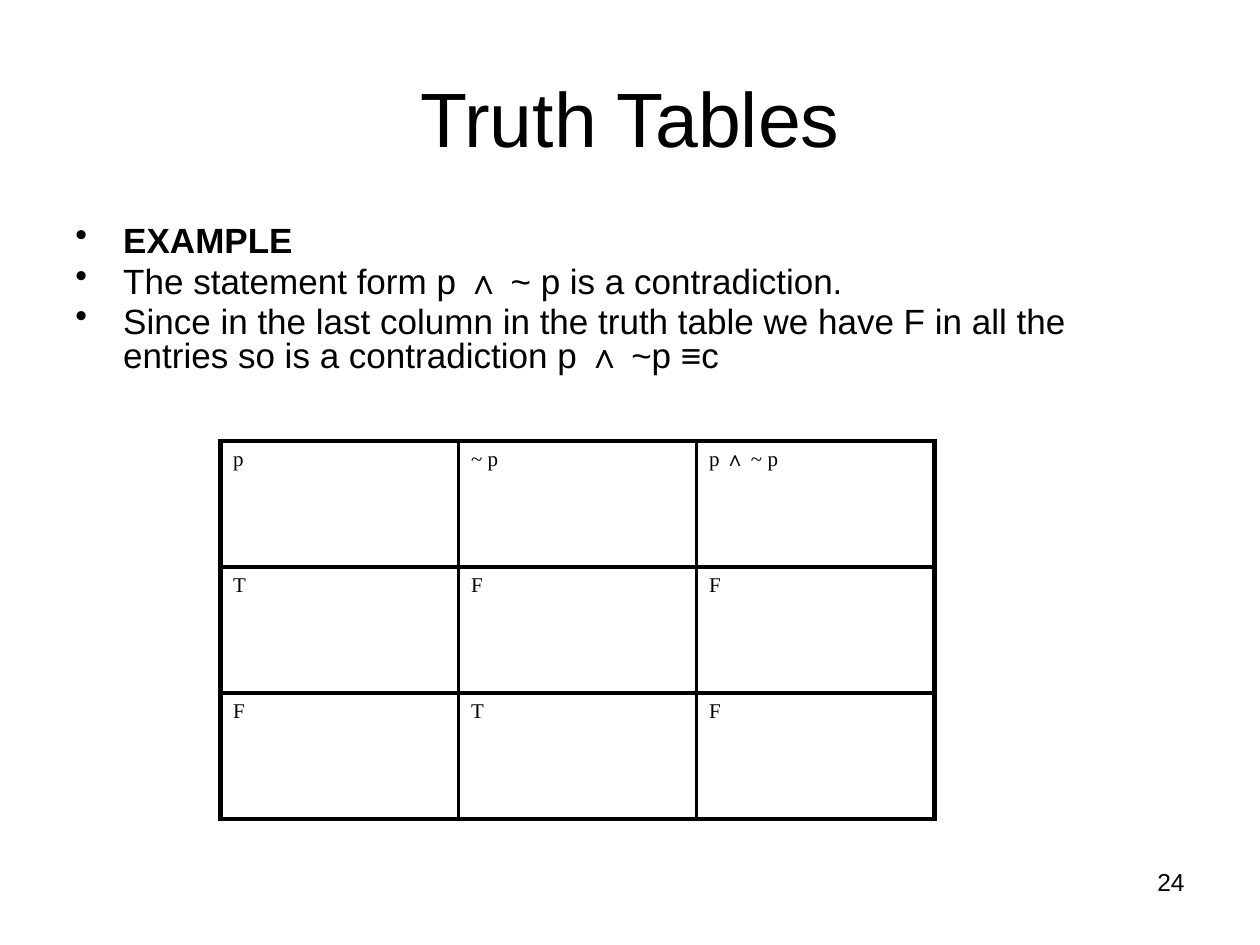
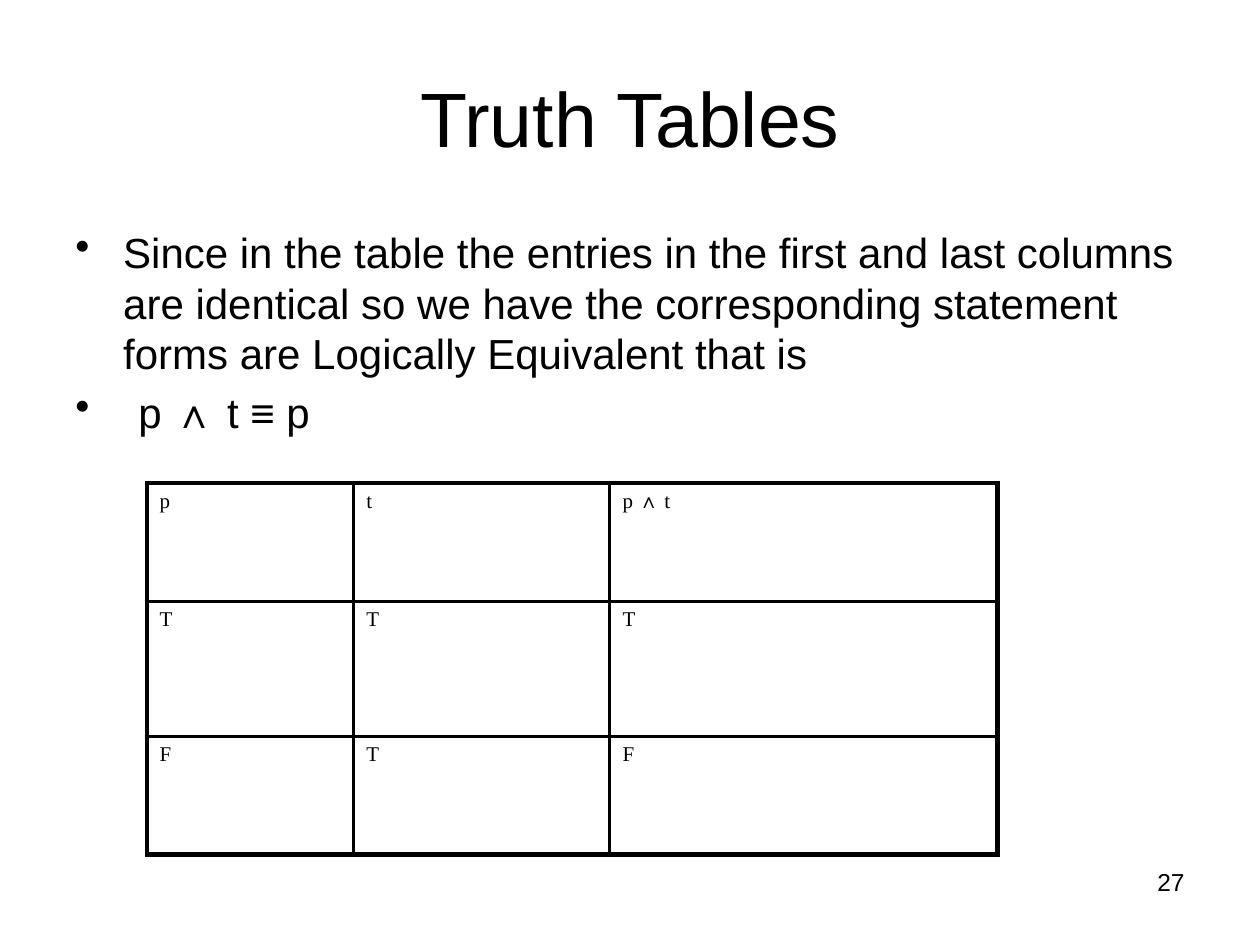
"""Two slides on truth tables: a contradiction and a logical equivalence."""
from dataclasses import dataclass

from lxml import etree
from pptx import Presentation
from pptx.dml.color import RGBColor
from pptx.enum.text import MSO_ANCHOR, PP_ALIGN
from pptx.oxml.ns import qn
from pptx.util import Inches, Pt

BLACK = RGBColor(0x00, 0x00, 0x00)
WHITE = RGBColor(0xFF, 0xFF, 0xFF)
LEFT, CENTER, RIGHT = PP_ALIGN.LEFT, PP_ALIGN.CENTER, PP_ALIGN.RIGHT
TOP, MIDDLE = MSO_ANCHOR.TOP, MSO_ANCHOR.MIDDLE
SANS, SERIF = "Arial", "Times New Roman"

SLIDE_WIDTH, SLIDE_HEIGHT = Inches(10), Inches(7.5)
UNIT = SLIDE_WIDTH // 120  # square grid: 120 columns by 90 rows
HANGING = Inches(0.38)
OUTER_LINE, INNER_LINE = Pt(3), Pt(2)


@dataclass(frozen=True)
class Area:
    """A rectangle in grid units."""
    column: float
    row: float
    width: float
    height: float

    def emu(self) -> tuple[int, ...]:
        """Return left, top, width and height as slide lengths."""
        return tuple(round(n * UNIT) for n in
                     (self.column, self.row, self.width, self.height))


@dataclass(frozen=True)
class Point:
    """One bulleted statement."""
    wording: str
    bold: bool = False


@dataclass(frozen=True)
class TruthTable:
    """Entries of a truth table and its grid measures."""
    column: float
    row: float
    widths: tuple[float, ...]
    heights: tuple[float, ...]
    entries: tuple[tuple[str, ...], ...]


@dataclass(frozen=True)
class Lesson:
    """What differs from slide to slide."""
    number: int
    body: Area
    size: float
    line_spacing: float
    points: tuple[Point, ...]
    table: TruthTable


TITLE = "Truth Tables"
TITLE_AREA = Area(6, 3.6, 108, 15)
NUMBER_AREA = Area(86, 82, 28, 6.25)

LESSONS = (
    Lesson(
        24, Area(6, 21, 107, 17), 20, 0.8,
        (Point("EXAMPLE", bold=True),
         Point("The statement form p ∧ ~ p is a contradiction."),
         Point("Since in the last column in the truth table we have F in all "
               "the entries so is a contradiction p ∧ ~p ≡c")),
        TruthTable(21, 42, (68 / 3,) * 3, (12,) * 3,
                   (("p", "~ p", "p ∧ ~ p"),
                    ("T", "F", "F"),
                    ("F", "T", "F")))),
    Lesson(
        27, Area(6, 21, 108, 23), 24, 1.0,
        (Point("Since in the table the entries in the first and last columns "
               "are identical so we have the corresponding statement forms "
               "are Logically Equivalent that is"),
         Point("\tp ∧ t ≡ p")),
        TruthTable(14, 46, (19.7, 24.4, 36.9), (11.25, 12.9, 11.25),
                   (("p", "t", "p ∧ t"),
                    ("T", "T", "T"),
                    ("F", "T", "F")))),
)


def add_run(paragraph, wording: str, size: float, font: str = SANS,
            bold: bool = False) -> None:
    """Append one formatted run to a paragraph."""
    run = paragraph.add_run()
    run.text = wording
    run.font.size = Pt(size)
    run.font.name = font
    run.font.bold = bold
    run.font.color.rgb = BLACK


def hang(paragraph) -> None:
    """Give a paragraph the shared hanging indent."""
    properties = paragraph._p.get_or_add_pPr()
    properties.set("marL", str(HANGING))
    properties.set("indent", str(-HANGING))


def add_text_frame(slide, area: Area, anchor=TOP):
    """Add a wrapping text box and return its text frame."""
    frame = slide.shapes.add_textbox(*area.emu()).text_frame
    frame.word_wrap = True
    frame.vertical_anchor = anchor
    return frame


def add_line(slide, area: Area, wording: str, size: float, alignment,
             anchor=TOP) -> None:
    """Add a text box that holds a single line."""
    paragraph = add_text_frame(slide, area, anchor).paragraphs[0]
    paragraph.alignment = alignment
    add_run(paragraph, wording, size)


def add_points(slide, lesson: Lesson) -> None:
    """Add the bulleted statements of a lesson."""
    frame = add_text_frame(slide, lesson.body)
    for index, point in enumerate(lesson.points):
        paragraph = frame.add_paragraph() if index else frame.paragraphs[0]
        paragraph.alignment = LEFT
        paragraph.line_spacing = lesson.line_spacing
        paragraph.space_before = Pt(0.2 * lesson.size)
        hang(paragraph)
        bullet = etree.SubElement(paragraph._p.pPr, qn("a:buChar"))
        bullet.set("char", "•")
        add_run(paragraph, point.wording, lesson.size, bold=point.bold)


def set_border(cell, side: str, width: int) -> None:
    """Draw one side (L, R, T or B) of a cell in solid black."""
    line = etree.SubElement(cell._tc.get_or_add_tcPr(), qn(f"a:ln{side}"))
    line.set("w", str(width))
    fill = etree.SubElement(line, qn("a:solidFill"))
    etree.SubElement(fill, qn("a:srgbClr")).set("val", str(BLACK))


def add_truth_table(slide, truth: TruthTable) -> None:
    """Add a truth table with a heavy frame and thinner inner rules."""
    area = Area(truth.column, truth.row, sum(truth.widths), sum(truth.heights))
    last_row, last_column = len(truth.heights) - 1, len(truth.widths) - 1
    table = slide.shapes.add_table(last_row + 1, last_column + 1,
                                   *area.emu()).table
    table.first_row = table.horz_banding = False
    for column, width in zip(table.columns, truth.widths):
        column.width = round(width * UNIT)
    for row, height in zip(table.rows, truth.heights):
        row.height = round(height * UNIT)
    for r, entries in enumerate(truth.entries):
        for c, entry in enumerate(entries):
            cell = table.cell(r, c)
            on_frame = {"L": c == 0, "R": c == last_column,
                        "T": r == 0, "B": r == last_row}
            for side, outer in on_frame.items():
                set_border(cell, side, OUTER_LINE if outer else INNER_LINE)
            cell.fill.background()
            paragraph = cell.text_frame.paragraphs[0]
            hang(paragraph)
            add_run(paragraph, entry, 12, SERIF)


def add_lesson(deck, lesson: Lesson) -> None:
    """Add one slide: number, title, statements and truth table."""
    slide = deck.slides.add_slide(deck.slide_layouts[6])
    slide.background.fill.solid()
    slide.background.fill.fore_color.rgb = WHITE
    add_line(slide, NUMBER_AREA, str(lesson.number), 14, RIGHT)
    add_line(slide, TITLE_AREA, TITLE, 44, CENTER, MIDDLE)
    add_points(slide, lesson)
    add_truth_table(slide, lesson.table)


def main() -> None:
    """Build and save the deck."""
    deck = Presentation()
    deck.slide_width, deck.slide_height = SLIDE_WIDTH, SLIDE_HEIGHT
    for lesson in LESSONS:
        add_lesson(deck, lesson)
    deck.save("out.pptx")


main()
